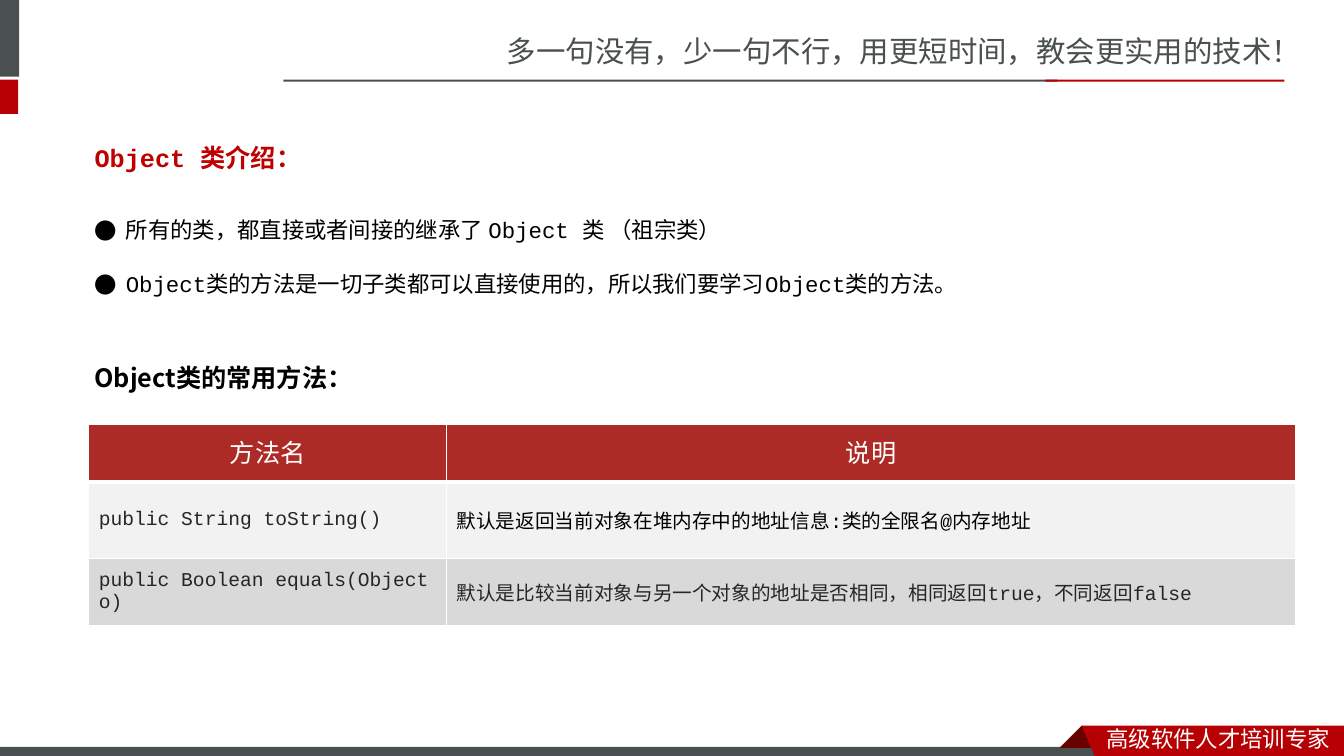
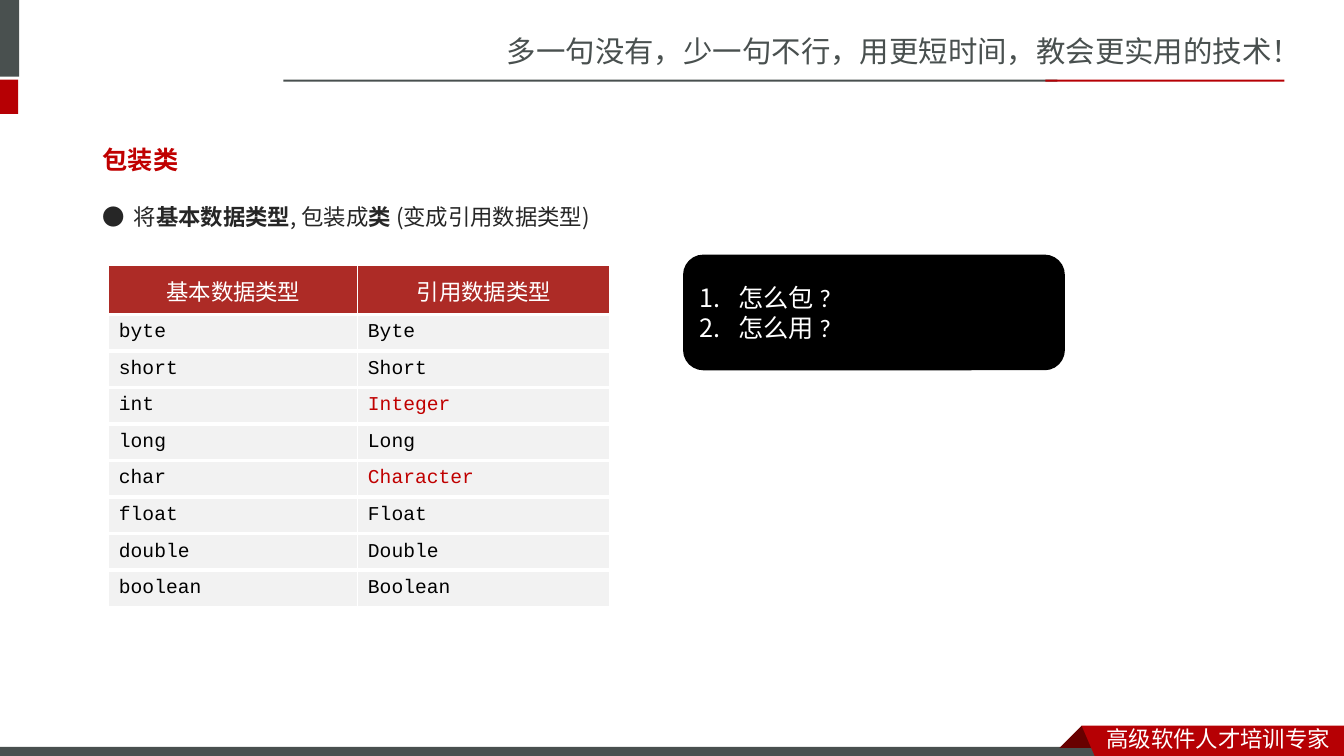
from dataclasses import dataclass
from lxml.etree import SubElement
from pptx import Presentation
from pptx.dml.color import RGBColor
from pptx.enum.shapes import MSO_SHAPE
from pptx.enum.text import MSO_ANCHOR, PP_ALIGN
from pptx.oxml.ns import qn
from pptx.util import Inches, Pt


@dataclass(frozen=True)
class Theme:
    grey: str = "49504F"
    red: str = "B60004"
    fold: str = "680000"
    accent: str = "C00000"
    header: str = "AD2B26"
    light: str = "F2F2F2"
    mid: str = "D9D9D9"
    ink: str = "262626"
    black: str = "000000"
    white: str = "FFFFFF"
    sans: str = "Noto Sans CJK SC"
    heading: str = "Noto Sans CJK JP"
    mono: str = "Courier New"
    plain: str = "Calibri"
    tagline: int = 21
    title: int = 18
    body: int = 16
    cell: int = 14


theme = Theme()
deck = Presentation()
deck.slide_width, deck.slide_height = Inches(13.33), Inches(7.5)
blank = deck.slide_layouts[6]
object_slide, wrapper_slide = [deck.slides.add_slide(blank) for _ in range(2)]


def share(*percents):
    sides = (deck.slide_width, deck.slide_height)
    return [round(sides[i % 2] * percent / 100) for i, percent in enumerate(percents)]


def write(frame, lines, font, size, color, bold=False, layout=None, marker=None, indent=0.31):
    for index, line in enumerate(lines):
        paragraph = frame.add_paragraph() if index else frame.paragraphs[0]
        for name, value in ({"alignment": PP_ALIGN.LEFT} | (layout or {})).items():
            setattr(paragraph, name, value)
        if marker:
            properties = paragraph._p.get_or_add_pPr()
            properties.set("marL", str(Inches(indent)))
            properties.set("indent", str(-Inches(indent)))
            SubElement(properties, qn("a:buFont"), typeface=theme.sans)
            tag, key, value = marker
            SubElement(properties, qn(tag)).set(key, value)
        for position, words in enumerate(line.split("|")):
            run = paragraph.add_run()
            run.text = words
            run.font.color.rgb = RGBColor.from_string(color)
            values = {"name": font, "size": Pt(size), "bold": bold or position % 2 == 1}
            for name, value in values.items():
                setattr(run.font, name, value)
            east_asian = font if font.startswith("Noto") else theme.sans
            SubElement(run._r.get_or_add_rPr(), qn("a:ea"), typeface=east_asian)


bullet = ("a:buChar", "char", "●")
number = ("a:buAutoNum", "type", "arabicPeriod")
frame_parts = []

bands = [
    ((0, 0, 1.43, 10.13), theme.grey),
    ((0, 10.53, 1.35, 4.53), theme.red),
    ((21.08, 10.53, 57.6, 0.27), theme.grey),
    ((77.78, 10.53, 17.78, 0.27), theme.red),
    ((0, 98.8, 82.42, 1.2), theme.grey),
]
for place, color in bands:
    band = object_slide.shapes.add_shape(MSO_SHAPE.RECTANGLE, *share(*place))
    frame_parts.append((band, color))

ribbons = [
    ([(80.48, 96), (82.13, 98.93), (78.83, 98.93)], theme.fold),
    ([(80.48, 96), (100, 96), (100, 100), (81.45, 100)], theme.red),
]
for corners, color in ribbons:
    start, *rest = [share(*corner) for corner in corners]
    outline = object_slide.shapes.build_freeform(*start, scale=1)
    outline.add_line_segments(rest, close=True)
    frame_parts.append((outline.convert_to_shape(), color))

for part, color in frame_parts:
    part.shadow.inherit = False
    part.fill.solid()
    part.fill.fore_color.rgb = RGBColor.from_string(color)
    part.line.fill.background()

texts = [
    (object_slide, (36.98, 3.73, 63.02, 6.27),
     ["多一句没有，少一句不行，用更短时间，教会更实用的技术！"],
     dict(font=theme.sans, size=theme.tagline, color=theme.grey)),
    (object_slide, (81.6, 95.33, 18.4, 4.67), ["高级软件人才培训专家"],
     dict(font=theme.sans, size=theme.body, color=theme.white)),
    (object_slide, (6.3, 16.13, 50, 6.8), ["Object 类介绍："],
     dict(font=theme.mono, size=theme.title, color=theme.accent, bold=True,
          layout={"line_spacing": 1.5})),
    (object_slide, (6.3, 24.4, 90.5, 14.8),
     ["所有的类，都直接或者间接的继承了 Object 类 （祖宗类）",
      "Object类的方法是一切子类都可以直接使用的，所以我们要学习Object类的方法。"],
     dict(font=theme.mono, size=theme.body, color=theme.black,
          layout={"line_spacing": 2.0}, marker=bullet)),
    (object_slide, (6.3, 47.33, 50, 5.33), ["Object类的常用方法："],
     dict(font=theme.heading, size=theme.title, color=theme.black, bold=True)),
    (wrapper_slide, (6.9, 16.4, 38.4, 6.8), ["包装类"],
     dict(font=theme.heading, size=theme.title, color=theme.accent, bold=True,
          layout={"line_spacing": 1.5})),
    (wrapper_slide, (6.9, 24.4, 72.3, 6.27),
     ["将|基本数据类型|, 包装成|类 |(变成引用数据类型)"],
     dict(font=theme.heading, size=theme.body, color=theme.ink,
          layout={"line_spacing": 1.5}, marker=bullet)),
]
for slide, place, lines, style in texts:
    words = slide.shapes.add_textbox(*share(*place))
    words.text_frame.word_wrap = True
    write(words.text_frame, lines, **style)
    if len(frame_parts) < len(bands) + len(ribbons) + 2:
        frame_parts.append((words, None))

for index, (part, _) in enumerate(frame_parts):
    part.element.nvSpPr.cNvPr.set("id", str(100 + index))
    blank.shapes.element.append(part.element)

methods = [
    ("方法名", "说明"),
    ("public String toString()", "默认是返回当前对象在堆内存中的地址信息:类的全限名@内存地址"),
    ("public Boolean equals(Object o)",
     "默认是比较当前对象与另一个对象的地址是否相同，相同返回true，不同返回false"),
]
wrappers = [("基本数据类型", "引用数据类型")] + [
    (primitive, {"int": "Integer", "char": "Character"}.get(primitive, primitive.capitalize()))
    for primitive in "byte short int long char float double boolean".split()
]
tables = [
    (object_slide, methods, (6.6, 56.13), (26.63, 63.17), (7.6, 10.13, 8.93),
     theme.title, theme.ink, (theme.light, theme.mid), 1,
     {methods[1][1]: theme.black}),
    (wrapper_slide, wrappers, (8.1, 35.07), (18.53, 18.75), (6.53,) + (4.83,) * 8,
     theme.body, theme.black, (theme.light, theme.light), 3,
     {"Integer": theme.accent, "Character": theme.accent}),
]
for slide, rows, corner, widths, heights, head_size, ink, fills, gap, special in tables:
    size = share(sum(widths), sum(heights))
    grid = slide.shapes.add_table(len(rows), len(widths), *share(*corner), *size).table
    grid.first_row = grid.horz_banding = False
    for column, width in zip(grid.columns, widths):
        column.width = share(width)[0]
    for r, (row, height) in enumerate(zip(rows, heights)):
        grid.rows[r].height = share(0, height)[1]
        above = {0: 1, 1: 3}.get(r, gap)
        below = 3 if r == 0 else 1 if r == len(rows) - 1 else gap
        for c, words in enumerate(row):
            cell = grid.cell(r, c)
            cell.vertical_anchor = MSO_ANCHOR.MIDDLE
            for side, weight in {"L": 1, "R": 1, "T": above, "B": below}.items():
                edge = SubElement(cell._tc.get_or_add_tcPr(), qn("a:ln" + side), w=str(Pt(weight)))
                paint = SubElement(edge, qn("a:solidFill"))
                SubElement(paint, qn("a:srgbClr"), val=theme.white)
            cell.fill.solid()
            fill = fills[(r - 1) % 2] if r else theme.header
            cell.fill.fore_color.rgb = RGBColor.from_string(fill)
            if r == 0:
                write(cell.text_frame, [words], theme.mono, head_size, theme.white,
                      layout={"alignment": PP_ALIGN.CENTER, "line_spacing": Pt(24)})
            else:
                write(cell.text_frame, [words], theme.mono, theme.cell, special.get(words, ink))

questions = wrapper_slide.shapes.add_shape(
    MSO_SHAPE.ROUNDED_RECTANGLE, *share(50.93, 33.87, 28.2, 14.93))
questions.shadow.inherit = False
questions.fill.solid()
questions.line.width = Pt(2)
for color in (questions.fill.fore_color, questions.line.color):
    color.rgb = RGBColor.from_string(theme.black)
questions.text_frame.vertical_anchor = MSO_ANCHOR.MIDDLE
write(questions.text_frame, ["怎么包 ?", "怎么用 ?"], theme.plain, theme.title, theme.white,
      marker=number, indent=0.38)

deck.save("out.pptx")
